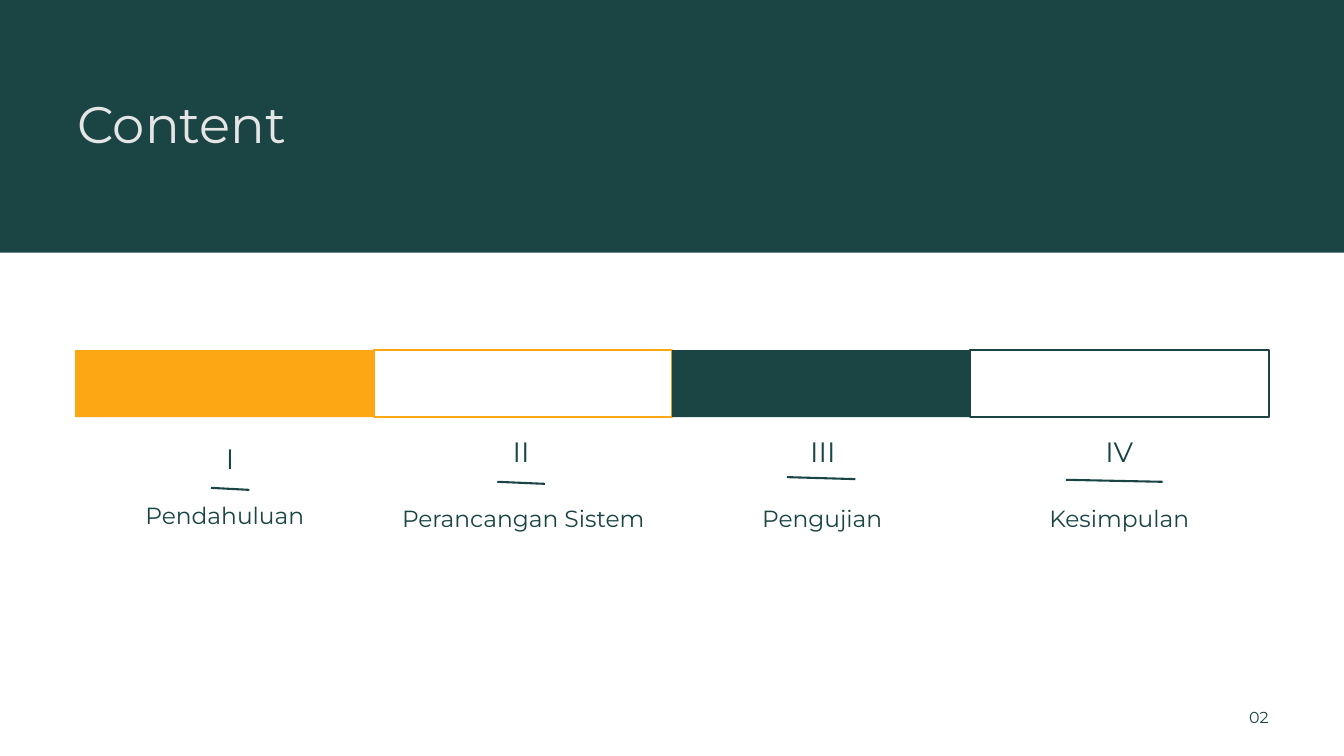
from pptx import Presentation
from pptx.dml.color import RGBColor
from pptx.enum.shapes import MSO_CONNECTOR, MSO_SHAPE
from pptx.enum.text import MSO_ANCHOR, PP_ALIGN as Align
from pptx.oxml.ns import qn
from pptx.util import Inches, Pt
from lxml import etree

GREEN = RGBColor(0x1B, 0x44, 0x44)
ORANGE = RGBColor(0xFD, 0xA7, 0x15)
WHITE = RGBColor(0xFF, 0xFF, 0xFF)
PALE = RGBColor(0xE5, 0xE5, 0xE5)

prs = Presentation()
prs.slide_width, prs.slide_height = Inches(20), Inches(11.25)
slide = prs.slides.add_slide(prs.slide_layouts[6])
shapes = slide.shapes


def add_block(left, top, width, height, fill, outline=None):
    block = shapes.add_shape(MSO_SHAPE.RECTANGLE, Inches(left), Inches(top),
                             Inches(width), Inches(height))
    block.shadow.inherit = False
    if fill is None:
        block.fill.background()
    else:
        block.fill.solid()
        block.fill.fore_color.rgb = fill
    if outline is None:
        block.line.fill.background()
    else:
        block.line.color.rgb = outline
        block.line.width = Pt(2.25)


def add_label(text, left, top, width, height, size, spacing, align,
              color=GREEN, inset=0, anchor=MSO_ANCHOR.TOP):
    frame = shapes.add_textbox(Inches(left), Inches(top),
                               Inches(width), Inches(height)).text_frame
    frame.word_wrap = True
    frame.vertical_anchor = anchor
    frame.margin_left = frame.margin_right = Inches(inset)
    frame.margin_top = frame.margin_bottom = Inches(inset)
    paragraph = frame.paragraphs[0]
    paragraph.text = text
    paragraph.alignment = align
    paragraph.line_spacing = Pt(spacing)
    paragraph.font.name = "Montserrat"
    paragraph.font.size = Pt(size)
    paragraph.font.color.rgb = color


# Header band and title
add_block(0, 0, 20, 3.76, GREEN)
add_label("Content", 1.15, 1.45, 11.99, 0.87, 55, 60.5, Align.LEFT, PALE)

# Four chapters: bar segment, numeral, underline, name
BAR_LEFT, BAR_TOP, SEGMENT = 1.12, 5.21, 4.44
# numeral, name, fill, outline, numeral (left, top), rule (x1, x2, y), name (left, top)
chapters = [
    ("I", "Pendahuluan", ORANGE, None, (1.69, 4.9), (3.14, 3.71, 7.26), (1.52, 7.39)),
    ("II", "Perancangan Sistem", WHITE, ORANGE, (6.02, 4.79), (7.4, 8.11, 7.17), (5.96, 7.44)),
    ("III", "Pengujian", GREEN, None, (10.51, 4.79), (11.71, 12.73, 7.1), (10.41, 7.44)),
    ("IV", "Kesimpulan", None, GREEN, (14.92, 4.79), (15.86, 17.3, 7.14), (14.83, 7.44)),
]
for i, (numeral, name, fill, outline, numeral_at, rule_at, name_at) in enumerate(chapters):
    add_block(BAR_LEFT + i * SEGMENT, BAR_TOP, SEGMENT, 1, fill, outline)
    add_label(numeral, *numeral_at, 3.47, 3.76, 30, 42, Align.CENTER,
              inset=0.06, anchor=MSO_ANCHOR.MIDDLE)

    start, end, y = rule_at
    rule = shapes.add_connector(MSO_CONNECTOR.STRAIGHT, Inches(start), Inches(y),
                                Inches(end), Inches(y + 0.03))
    rule.line.color.rgb = GREEN
    rule.line.width = Pt(2.25)
    etree.SubElement(rule._element.spPr, qn("a:effectLst"))

    add_label(name, *name_at, 3.65, 0.44, 25, 35, Align.CENTER)

# Page number
add_label("02", 18.28, 10.51, 0.6, 0.28, 17, 22.1, Align.RIGHT)

prs.save("out.pptx")
